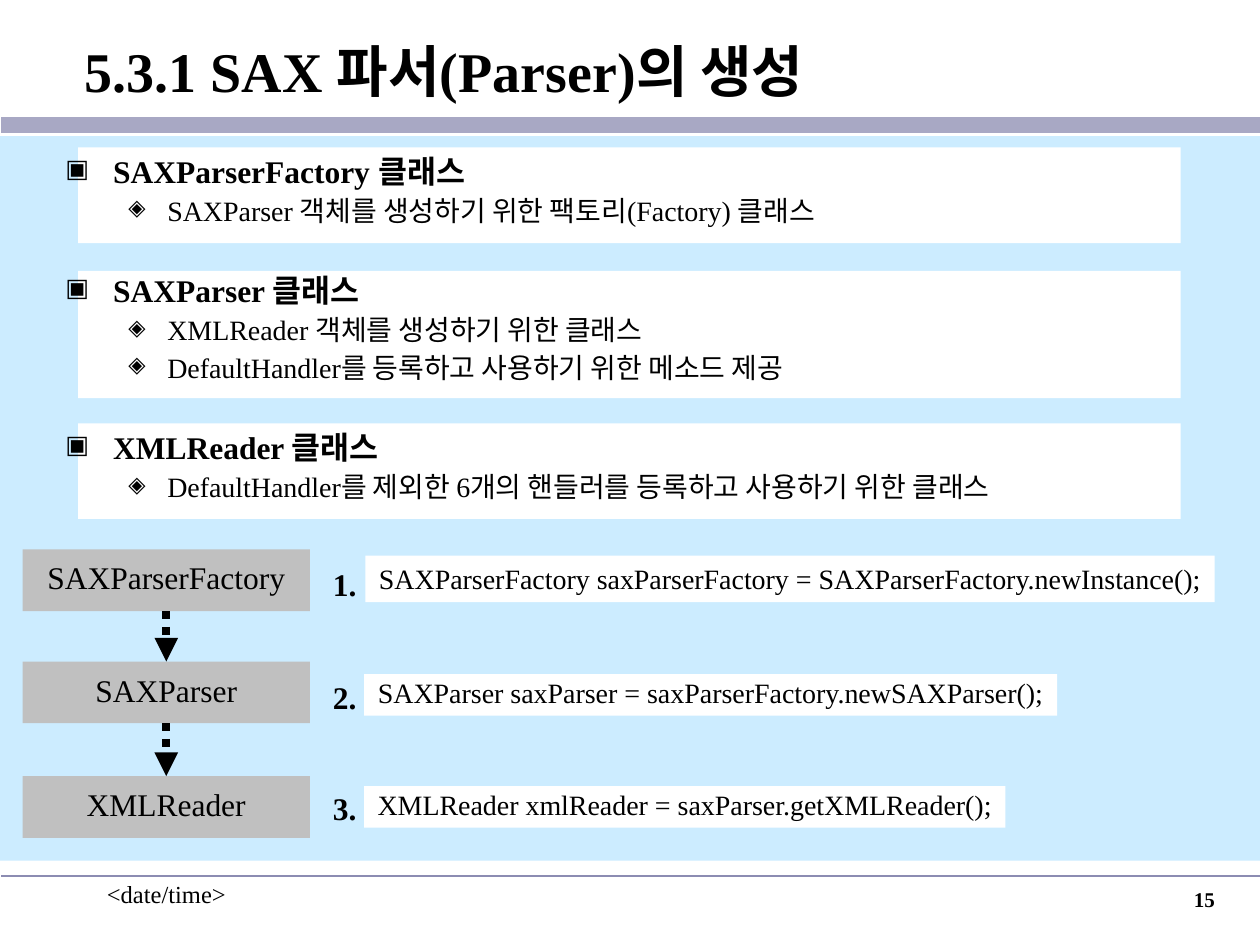
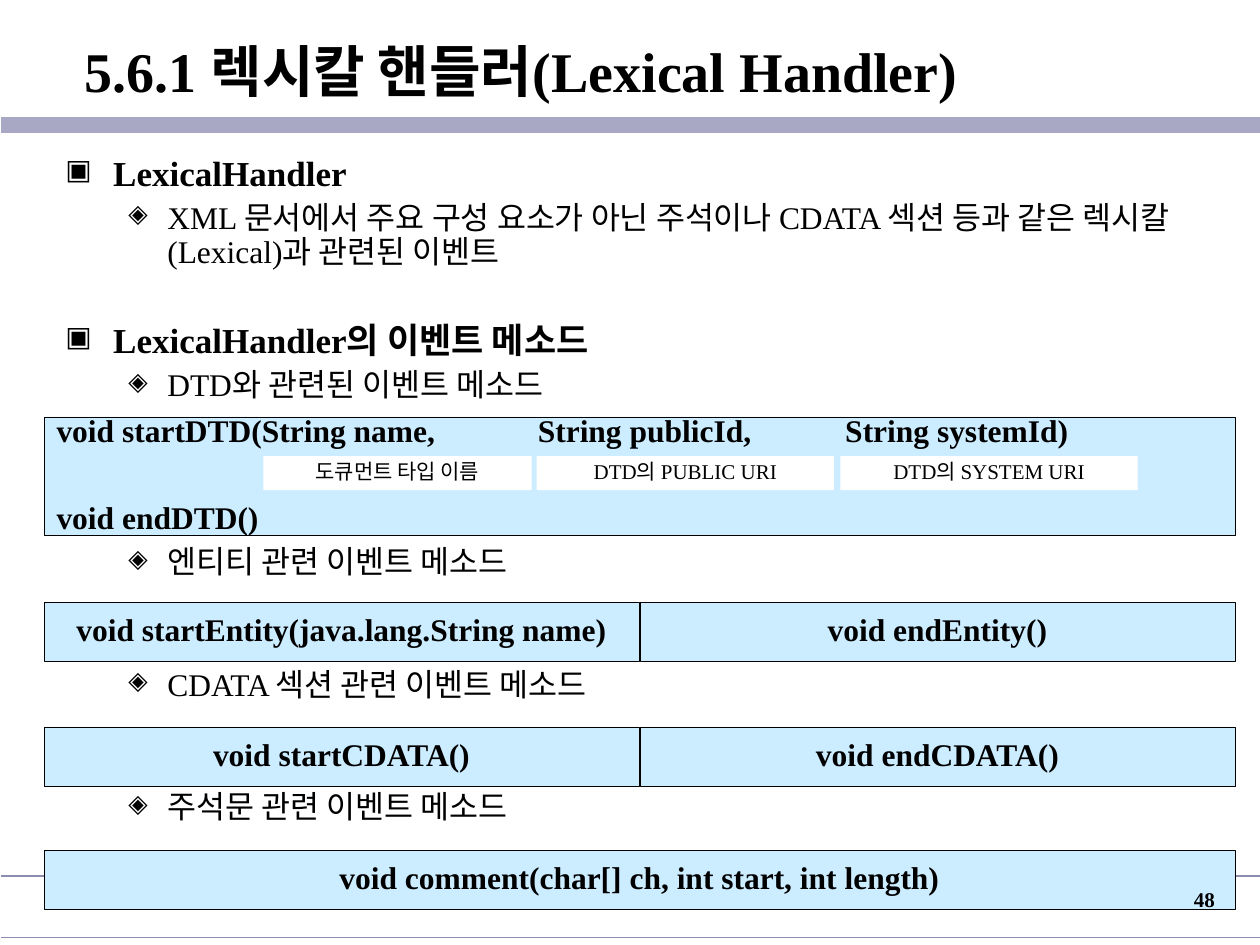
from lxml import etree
from pptx import Presentation
from pptx.dml.color import RGBColor
from pptx.enum.dml import MSO_LINE
from pptx.enum.shapes import MSO_CONNECTOR, MSO_SHAPE
from pptx.enum.text import MSO_ANCHOR, MSO_AUTO_SIZE, PP_ALIGN
from pptx.oxml.ns import qn
from pptx.util import Inches, Pt

LEFT, CENTER, RIGHT = PP_ALIGN.LEFT, PP_ALIGN.CENTER, PP_ALIGN.RIGHT
TOP, MIDDLE = MSO_ANCHOR.TOP, MSO_ANCHOR.MIDDLE
STRAIGHT, RECTANGLE = MSO_CONNECTOR.STRAIGHT, MSO_SHAPE.RECTANGLE
DOTTED, NO_AUTOFIT = MSO_LINE.ROUND_DOT, MSO_AUTO_SIZE.NONE
BOTTOM_SIDE, TOP_SIDE = 2, 0
TITLE_ONLY = 5

FONT = "Times New Roman"
BLACK, WHITE, GRAY, SKY = "000000", "FFFFFF", "C0C0C0", "CCECFF"
BAND, RULE = "A8A8C4", "8C8CB2"

# Bullet character, left margin and hanging indent for each outline level
LEVELS = [("▣", 0.38, -0.38), ("◈", 0.81, -0.31)]


def color(hex_string):
    return RGBColor.from_string(hex_string)


def set_all(target, values):
    for name, value in values.items():
        setattr(target, name, value)


def add_xml(parent, tag, **attributes):
    return etree.SubElement(parent, qn(tag), attributes)


class Deck:
    def __init__(self):
        self.presentation = Presentation()
        set_all(self.presentation, {"slide_width": Inches(10), "slide_height": Inches(7.5)})
        self.slide = None

    def new_slide(self, title):
        """Start a slide with the shared title, band and rule."""
        layout = self.presentation.slide_layouts[TITLE_ONLY]
        self.slide = self.presentation.slides.add_slide(layout)
        heading = self.slide.shapes.title
        set_all(heading, {"left": Inches(0.01), "top": Inches(0.11),
                          "width": Inches(9.99), "height": Inches(0.9)})
        frame = self.frame(heading, MIDDLE, wrap=True)
        frame.margin_left = Inches(0.66)
        self.add_words(frame.paragraphs[0], title, 32, bold=True)
        self.rule(0.99, BAND, 9.25)
        self.rule(6.95, RULE, 1)

    def page_number(self, number):
        self.text((7.66, 6.99, 2.08, 0.5), number, 12, bold=True, align=RIGHT)

    def frame(self, shape, anchor, wrap):
        frame = shape.text_frame
        set_all(frame, {"auto_size": NO_AUTOFIT, "word_wrap": wrap, "vertical_anchor": anchor,
                        "margin_left": Inches(0.1), "margin_right": Inches(0.1),
                        "margin_top": Inches(0.05), "margin_bottom": Inches(0.05)})
        return frame

    def add_words(self, paragraph, words, size, bold=False, align=LEFT, spacing=1.0):
        set_all(paragraph, {"alignment": align, "line_spacing": spacing})
        run = paragraph.add_run()
        run.text = words
        set_all(run.font, {"name": FONT, "size": Pt(size), "bold": bold})
        run.font.color.rgb = color(BLACK)

    def text(self, place, words, size, bold=False, align=LEFT, spacing=1.0, wrap=True):
        box = self.slide.shapes.add_textbox(*map(Inches, place))
        frame = self.frame(box, TOP, wrap)
        self.add_words(frame.paragraphs[0], words, size, bold, align, spacing)

    def box(self, place, fill, outlined=False):
        shape = self.slide.shapes.add_shape(RECTANGLE, *map(Inches, place))
        shape.shadow.inherit = False
        shape.fill.solid()
        shape.fill.fore_color.rgb = color(fill)
        if outlined:
            shape.line.color.rgb = color(BLACK)
            shape.line.width = Pt(0.25)
        else:
            shape.line.fill.background()
        return shape

    def label(self, place, words, size, fill, bold=False, outlined=False,
              anchor=MIDDLE, spacing=0.85):
        shape = self.box(place, fill, outlined)
        frame = self.frame(shape, anchor, wrap=False)
        self.add_words(frame.paragraphs[0], words, size, bold, CENTER, spacing)
        return shape

    def line(self, start, end, stroke, width):
        connector = self.slide.shapes.add_connector(STRAIGHT, *map(Inches, start + end))
        connector.line.color.rgb = color(stroke)
        connector.line.width = Pt(width)
        add_xml(connector.element.spPr, "a:effectLst")
        return connector

    def rule(self, y, stroke, width):
        self.line((0.01, y), (10, y), stroke, width)

    def arrow(self, upper, lower):
        connector = self.line((0, 0), (1, 1), BLACK, 4.5)
        connector.begin_connect(upper, BOTTOM_SIDE)
        connector.end_connect(lower, TOP_SIDE)
        connector.line.dash_style = DOTTED
        add_xml(connector.element.spPr.find(qn("a:ln")), "a:tailEnd", type="triangle")

    def outline(self, place, items, sizes):
        """Add (level, words, extra points above) items as one bulleted list."""
        box = self.slide.shapes.add_textbox(*map(Inches, place))
        frame = self.frame(box, TOP, wrap=True)
        for index, (level, words, gap) in enumerate(items):
            paragraph = frame.add_paragraph() if index else frame.paragraphs[0]
            bullet, margin, indent = LEVELS[level]
            size = sizes[level]
            paragraph.level = level
            paragraph.space_before = Pt(size / 4 + gap if index else 0)
            self.add_words(paragraph, words, size, bold=level == 0, spacing=0.9)
            properties = paragraph._p.get_or_add_pPr()
            properties.set("marL", str(Inches(margin)))
            properties.set("indent", str(Inches(indent)))
            bullet_color = add_xml(properties, "a:buClr")
            add_xml(bullet_color, "a:srgbClr", val=BLACK)
            add_xml(properties, "a:buSzPct", val="80000")
            add_xml(properties, "a:buChar", char=bullet)

    def signatures(self, place, lines, tab_stops):
        """Add method signatures whose arguments line up at tab stops."""
        frame = self.frame(self.box(place, SKY, outlined=True), MIDDLE, wrap=True)
        for index, (words, spacing) in enumerate(lines):
            paragraph = frame.add_paragraph() if index else frame.paragraphs[0]
            paragraph.space_before = Pt(11.2 if index else 0)
            self.add_words(paragraph, words, 18, bold=True, spacing=spacing)
            tabs = add_xml(paragraph._p.get_or_add_pPr(), "a:tabLst")
            for stop in tab_stops:
                add_xml(tabs, "a:tab", pos=str(Inches(stop)), algn="l")


def parser_slide(deck):
    deck.new_slide("5.3.1 SAX 파서(Parser)의 생성")
    deck.text((0.75, 6.93, 2.08, 0.5), "<date/time>", 14)

    # Background and one white panel per class
    deck.box((0, 1.08, 10, 5.75), SKY)
    for top, height in [(1.17, 0.76), (2.15, 1.01), (3.36, 0.76)]:
        deck.box((0.62, top, 8.75, height), WHITE)

    # Class descriptions
    deck.outline((0.42, 1.19, 9.16, 3.14), [
        (0, "SAXParserFactory 클래스", 0),
        (1, "SAXParser 객체를 생성하기 위한 팩토리(Factory) 클래스", 0),
        (0, "SAXParser 클래스", 23.1),
        (1, "XMLReader 객체를 생성하기 위한 클래스", 0),
        (1, "DefaultHandler를 등록하고 사용하기 위한 메소드 제공", 0),
        (0, "XMLReader 클래스", 23.1),
        (1, "DefaultHandler를 제외한 6개의 핸들러를 등록하고 사용하기 위한 클래스", 0),
    ], sizes=(18, 16))

    # Creation steps: class, number and code
    steps = [
        ("SAXParserFactory", 4.36, 4.48, (2.9, 4.41, 6.74, 0.37), 1.0,
         "SAXParserFactory saxParserFactory = SAXParserFactory.newInstance();"),
        ("SAXParser", 5.25, 5.38, (2.89, 5.35, 5.5, 0.33), 0.85,
         "SAXParser saxParser = saxParserFactory.newSAXParser();"),
        ("XMLReader", 6.16, 6.26, (2.89, 6.24, 5.09, 0.33), 0.85,
         "XMLReader xmlReader = saxParser.getXMLReader();"),
    ]
    classes = []
    for number, (name, top, number_top, code_place, spacing, code) in enumerate(steps, 1):
        classes.append(deck.label((0.18, top, 2.28, 0.49), name, 18, GRAY))
        deck.text((2.54, number_top, 0.39, 0.36), f"{number}.", 18, bold=True,
                  align=CENTER, spacing=0.85, wrap=False)
        deck.label(code_place, code, 16, WHITE, anchor=TOP, spacing=spacing)
    for upper, lower in zip(classes, classes[1:]):
        deck.arrow(upper, lower)
    deck.page_number("15")


def lexical_handler_slide(deck):
    deck.new_slide("5.6.1 렉시칼 핸들러(Lexical Handler)")

    # Handler description and event groups
    deck.outline((0.42, 1.19, 9.16, 5.71), [
        (0, "LexicalHandler", 0),
        (1, "XML 문서에서 주요 구성 요소가 아닌 주석이나 CDATA 섹션 등과 같은 "
            "렉시칼(Lexical)과 관련된 이벤트", 0),
        (0, "LexicalHandler의 이벤트 메소드", 25.7),
        (1, "DTD와 관련된 이벤트 메소드", 0),
        (1, "엔티티 관련 이벤트 메소드", 77.1),
        (1, "CDATA 섹션 관련 이벤트 메소드", 46.2),
        (1, "주석문 관련 이벤트 메소드", 46.2),
    ], sizes=(20, 18))

    # DTD methods and the meaning of each argument
    deck.signatures((0.35, 3.31, 9.45, 0.94), [
        ("void startDTD(String name,\tString publicId,\tString systemId)", 0.85),
        ("void endDTD()", 1.8),
    ], tab_stops=(3.82, 6.26))
    for left, width, meaning in [(2.09, 2.13, "도큐먼트 타입 이름"),
                                 (4.26, 2.36, "DTD의 PUBLIC URI"),
                                 (6.67, 2.36, "DTD의 SYSTEM URI")]:
        deck.label((left, 3.62, width, 0.27), meaning, 12, WHITE, anchor=TOP)

    # Entity, CDATA and comment methods
    for left, top, width, method in [
        (0.35, 4.78, 4.72, "void startEntity(java.lang.String name)"),
        (5.08, 4.78, 4.72, "void endEntity()"),
        (0.35, 5.77, 4.72, "void startCDATA()"),
        (5.08, 5.77, 4.72, "void endCDATA()"),
        (0.35, 6.75, 9.45, "void comment(char[] ch, int start, int length)"),
    ]:
        deck.label((left, top, width, 0.47), method, 18, SKY, bold=True, outlined=True)

    # Lower rule
    deck.rule(7.44, RULE, 1)
    deck.page_number("48")


def main():
    deck = Deck()
    parser_slide(deck)
    lexical_handler_slide(deck)
    deck.presentation.save("out.pptx")


if __name__ == "__main__":
    main()
